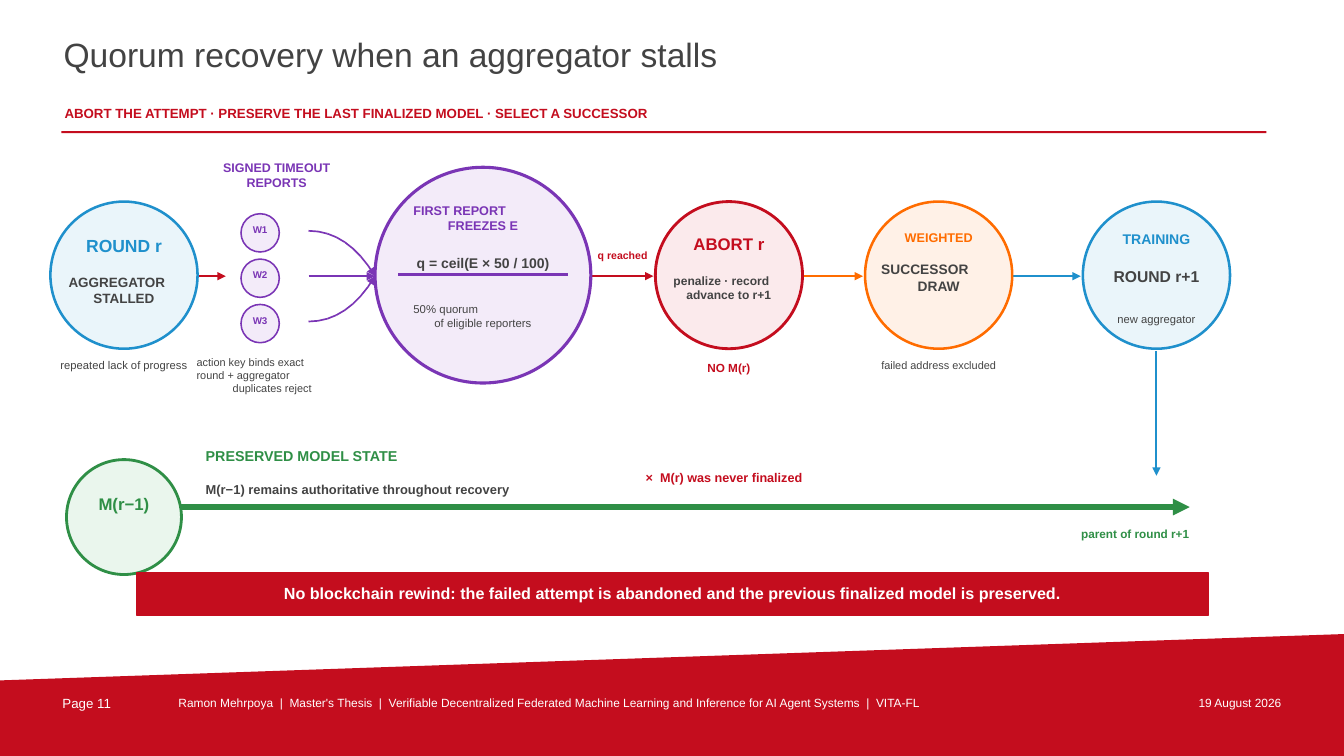
from lxml.etree import SubElement
from pptx import Presentation
from pptx.dml.color import RGBColor
from pptx.enum.shapes import MSO_CONNECTOR as Link, MSO_SHAPE as Kind
from pptx.enum.text import MSO_ANCHOR as Anchor, PP_ALIGN as Align
from pptx.oxml.ns import qn
from pptx.util import Inches, Pt

RED, BLUE, GREEN = "C40D1E", "1F90CC", "2F8F46"
PURPLE, ORANGE, GRAY, WHITE = "7A35B5", "FF6C00", "434343", "FFFFFF"
PINK, SKY, MINT, LILAC, PEACH = "FBEAEC", "EAF5FA", "EAF6ED", "F3EBF9", "FFF1E7"
MID = 2.74
SIDE = 1.46


def paint(part, color):
    part.solid()
    part.fore_color.rgb = RGBColor.from_string(color)


def write(box, text, size, color=GRAY, bold=False, align=Align.CENTER,
          anchor=Anchor.TOP, inset=0.02):
    """Fill a box with lines; only the last line takes the given alignment."""
    frame = box.text_frame
    frame.word_wrap = True
    frame.vertical_anchor = anchor
    frame.margin_left = frame.margin_right = Inches(inset)
    frame.margin_top = frame.margin_bottom = Inches(inset)
    lines = text.split("\n")
    for i, line in enumerate(lines):
        par = frame.add_paragraph() if i else frame.paragraphs[0]
        par.alignment = align if i == len(lines) - 1 else Align.LEFT
        run = par.add_run()
        run.text = line
        font = run.font
        font.name, font.size, font.bold = "Arial", Pt(size), bold
        font.color.rgb = RGBColor.from_string(color)


def label(slide, x, y, w, h, text, size, color=GRAY, **form):
    box = slide.shapes.add_textbox(Inches(x), Inches(y), Inches(w), Inches(h))
    write(box, text, size, color, **form)


def shape(slide, kind, x, y, w, h, fill, line=None, width=1):
    item = slide.shapes.add_shape(kind, Inches(x), Inches(y), Inches(w), Inches(h))
    item.shadow.inherit = False
    paint(item.fill, fill)
    if line:
        paint(item.line.fill, line)
        item.line.width = Pt(width)
    else:
        item.line.fill.background()


def link(slide, start, end, color, width, arrow=True):
    item = slide.shapes.add_connector(
        Link.STRAIGHT, *(Inches(v) for v in (*start, *end)))
    paint(item.line.fill, color)
    item.line.width = Pt(width)
    props = item._element.spPr
    SubElement(props, qn("a:effectLst"))
    if arrow:
        SubElement(props.find(qn("a:ln")), qn("a:tailEnd"), type="triangle")


def curve(slide, start, bend, end, steps=8):
    """Trace a quadratic curve with short links, the last one an arrow."""
    def spot(t):
        return [(1 - t) ** 2 * a + 2 * t * (1 - t) * b + t * t * c
                for a, b, c in zip(start, bend, end)]
    for i in range(steps):
        link(slide, spot(i / steps), spot((i + 1) / steps), PURPLE, 1.2,
             arrow=i == steps - 1)


def stage(slide, x, y, side, fill, color, width, labels):
    """Draw a circle; each label is width, top offset, height, text, size, color, bold."""
    shape(slide, Kind.OVAL, x, y, side, side, fill, color, width)
    for w, top, h, text, size, ink, bold in labels:
        label(slide, x + (side - w) / 2, y + top, w, h, text, size, ink, bold=bold)


def header(slide, x, y):
    title = slide.shapes.title
    title.left, title.top = Inches(x), Inches(y)
    title.width, title.height = Inches(9.65), Inches(0.62)
    write(title, "Quorum recovery when an aggregator stalls", 24, align=Align.LEFT)
    label(slide, x + 0.01, y + 0.7, 9.7, 0.22,
          "ABORT THE ATTEMPT · PRESERVE THE LAST FINALIZED MODEL · SELECT A SUCCESSOR",
          9.5, RED, bold=True, align=Align.LEFT)
    shape(slide, Kind.RECTANGLE, x, y + 0.98, 11.95, 0.02, RED)


def footer(slide, y, w, h):
    path = slide.shapes.build_freeform(0, Inches(y + 0.46), scale=1.0)
    path.add_line_segments([(Inches(a), Inches(b)) for a, b in
                            ((w, y), (w, y + h), (0, y + h))])
    band = path.convert_to_shape()
    band.shadow.inherit = False
    paint(band.fill, RED)
    band.line.fill.background()
    credit = ("Ramon Mehrpoya  |  Master's Thesis  |  Verifiable Decentralized Federated "
              "Machine Learning and Inference for AI Agent Systems  |  VITA-FL")
    for x, wide, text, size, align in (
            (0.6, 1, "Page 11", 9.5, Align.LEFT),
            (1.75, 9.35, credit, 8.5, Align.LEFT),
            (11.2, 1.53, "19 August 2026", 8.5, Align.RIGHT)):
        label(slide, x, y + 0.59, wide, 0.22, text, size, WHITE, align=align)


def arrows(slide, y):
    link(slide, (1.91, y), (2.24, y), RED, 1.7)
    for rise in (-0.45, 0, 0.45):
        curve(slide, (3.06, y + rise), (3.45, y + rise), (3.72, y))
    for x, end, color in ((5.86, 6.48, RED), (7.96, 8.56, ORANGE), (10.04, 10.72, BLUE)):
        link(slide, (x, y), (end, y), color, 1.8)
    link(slide, (11.47, y + 0.74), (11.47, y + 1.98), BLUE, 1.5)


def reports(slide, x, y):
    label(slide, x + 0.1, y, 1.43, 0.36, "SIGNED TIMEOUT REPORTS", 8.9, PURPLE, bold=True)
    for i in range(3):
        top = y + 0.55 + 0.45 * i
        shape(slide, Kind.OVAL, x + 0.46, top, 0.38, 0.38, LILAC, PURPLE, 1.1)
        label(slide, x + 0.52, top + 0.1, 0.26, 0.16, f"W{i + 1}", 7, PURPLE,
              bold=True, inset=0)
    label(slide, x, y + 1.94, 1.54, 0.62,
          "action key binds exact\nround + aggregator\nduplicates reject", 7.8)


def quorum(slide, x, y):
    stage(slide, x, y, 2.14, LILAC, PURPLE, 2.2, [
        (1.42, 0.33, 0.43, "FIRST REPORT\nFREEZES E", 9, PURPLE, True),
        (1.6, 0.85, 0.3, "q = ceil(E × 50 / 100)", 10, GRAY, True),
        (1.42, 1.32, 0.4, "50% quorum\nof eligible reporters", 8.1, GRAY, False)])
    link(slide, (x + 0.23, y + 1.06), (x + 1.91, y + 1.06), PURPLE, 2, arrow=False)
    label(slide, x + 2.18, y + 0.79, 0.55, 0.2, "q reached", 7.5, RED, bold=True)


def rounds(slide, y):
    for x, fill, color, width, labels in (
            (0.5, SKY, BLUE, 1.8, [
                (1.02, 0.31, 0.25, "ROUND r", 12.5, BLUE, True),
                (1.14, 0.7, 0.46, "AGGREGATOR\nSTALLED", 9.6, GRAY, True),
                (1.76, 1.53, 0.22, "repeated lack of progress", 8, GRAY, False)]),
            (6.5, PINK, RED, 2, [
                (1.04, 0.3, 0.25, "ABORT r", 12, RED, True),
                (1.14, 0.69, 0.46, "penalize · record\nadvance to r+1", 8.6, GRAY, True),
                (1.04, 1.56, 0.2, "NO M(r)", 8.4, RED, True)]),
            (8.58, PEACH, ORANGE, 1.8, [
                (1.08, 0.26, 0.22, "WEIGHTED", 9, ORANGE, True),
                (1.18, 0.57, 0.46, "SUCCESSOR\nDRAW", 9.8, GRAY, True),
                (1.74, 1.54, 0.22, "failed address excluded", 7.8, GRAY, False)]),
            (10.74, SKY, BLUE, 1.8, [
                (1.1, 0.27, 0.22, "TRAINING", 10, BLUE, True),
                (1.18, 0.63, 0.27, "ROUND r+1", 11.2, GRAY, True),
                (1.24, 1.08, 0.2, "new aggregator", 8, GRAY, False)])):
        stage(slide, x, y, SIDE, fill, color, width, labels)


def model(slide, x, y):
    link(slide, (x + 1.12, y + 0.61), (x + 11.14, y + 0.61), GREEN, 4)
    stage(slide, x, y + 0.14, 1.14, MINT, GREEN, 2, [
        (0.8, 0.32, 0.24, "M(r−1)", 12, GREEN, True)])
    for left, top, w, text, size, color, align in (
            (1.36, 0, 2.62, "PRESERVED MODEL STATE", 10.2, GREEN, Align.LEFT),
            (1.36, 0.34, 3.86, "M(r−1) remains authoritative throughout recovery",
             9.2, GRAY, Align.LEFT),
            (5.46, 0.22, 2.12, "×  M(r) was never finalized", 9, RED, Align.CENTER),
            (9.72, 0.79, 1.76, "parent of round r+1", 8.4, GREEN, Align.CENTER)):
        label(slide, x + left, y + top, w, 0.24, text, size, color, bold=True, align=align)


def banner(slide, x, y, w, h):
    shape(slide, Kind.RECTANGLE, x, y, w, h, RED, RED)
    label(slide, x + 0.28, y + 0.09, w - 0.56, 0.23,
          "No blockchain rewind: the failed attempt is abandoned and the previous "
          "finalized model is preserved.", 11.5, WHITE, bold=True, anchor=Anchor.MIDDLE)


def main():
    deck = Presentation()
    deck.slide_width, deck.slide_height = Inches(13.33), Inches(7.5)
    slide = deck.slides.add_slide(deck.slide_layouts[5])
    footer(slide, 6.29, 13.33, 1.21)
    header(slide, 0.61, 0.32)
    arrows(slide, MID)
    rounds(slide, 2)
    reports(slide, 1.93, 1.57)
    quorum(slide, 3.72, 1.66)
    model(slide, 0.66, 4.42)
    banner(slide, 1.36, 5.68, 10.62, 0.43)
    deck.save("out.pptx")


if __name__ == "__main__":
    main()
